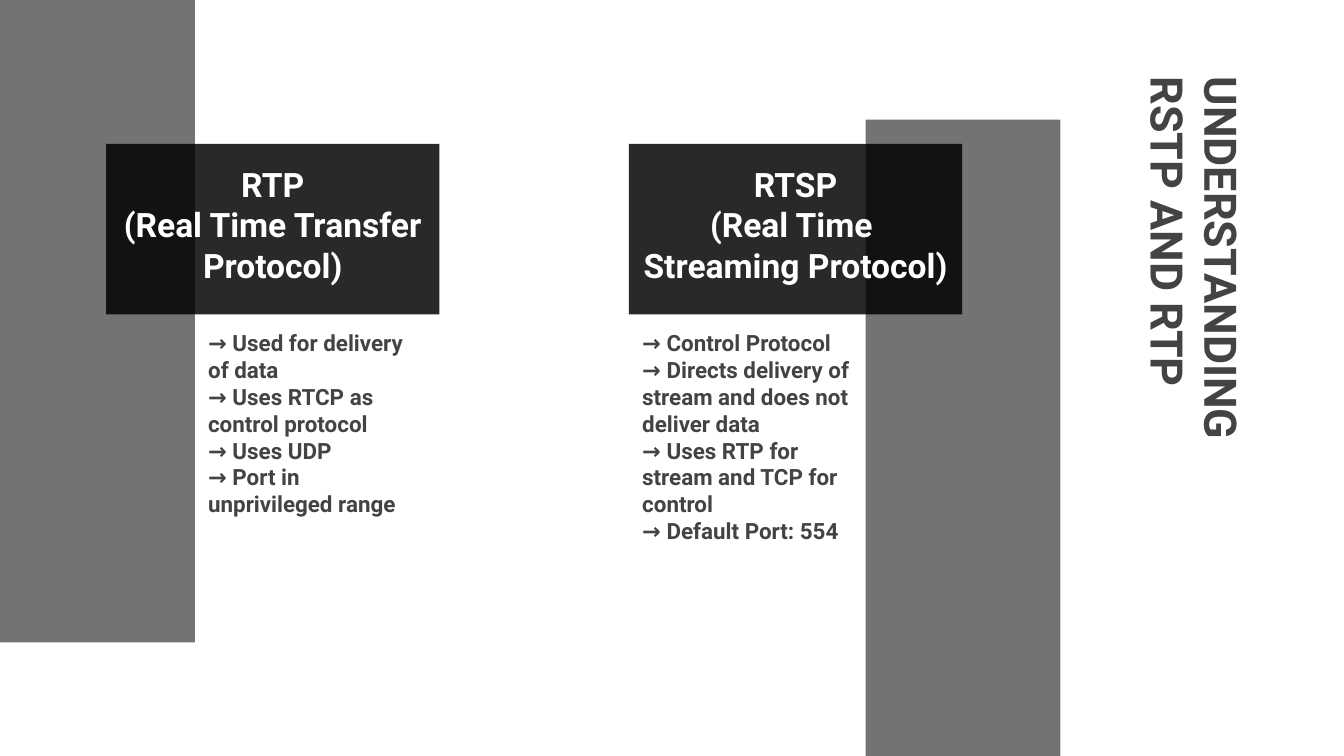
import pptx
import pptx.dml.color
import pptx.enum.shapes
import pptx.enum.text
import pptx.oxml
import pptx.oxml.ns
import pptx.util

Inches = pptx.util.Inches
ALIGN = pptx.enum.text.PP_ALIGN
ANCHOR = pptx.enum.text.MSO_ANCHOR

BLACK = pptx.dml.color.RGBColor(0x00, 0x00, 0x00)
WHITE = pptx.dml.color.RGBColor(0xFF, 0xFF, 0xFF)
GRAY = pptx.dml.color.RGBColor(0x43, 0x43, 0x43)

FONT = "Roboto"
TITLE_ONLY = 5


def write(frame, text, size=12, color=GRAY, align=ALIGN.LEFT, anchor=ANCHOR.TOP):
    """Fill a text frame, one paragraph per line of text."""
    frame.word_wrap = True
    frame.auto_size = pptx.enum.text.MSO_AUTO_SIZE.NONE
    frame.vertical_anchor = anchor
    frame.margin_left = frame.margin_right = Inches(0.1)
    frame.margin_top = frame.margin_bottom = Inches(0.1)
    for index, line in enumerate(text.split("\n")):
        para = frame.add_paragraph() if index else frame.paragraphs[0]
        para.alignment = align
        span = para.add_run()
        span.text = line
        span.font.name = FONT
        span.font.size = pptx.util.Pt(size)
        span.font.bold = True
        span.font.color.rgb = color


class Painter:
    def __init__(self, page):
        self.page = page

    def title(self, text, left, top, width, height):
        box = self.page.shapes.title
        box.left, box.top = Inches(left), Inches(top)
        box.width, box.height = Inches(width), Inches(height)
        box.rotation = 90
        write(box.text_frame, text, size=24, anchor=ANCHOR.MIDDLE)

    def panel(self, left, top, width, height, opacity):
        """Draw a black rectangle with the given opacity in percent."""
        box = self.page.shapes.add_shape(
            pptx.enum.shapes.MSO_SHAPE.RECTANGLE,
            Inches(left), Inches(top), Inches(width), Inches(height))
        box.shadow.inherit = False
        box.line.fill.background()
        box.fill.solid()
        box.fill.fore_color.rgb = BLACK
        color = box.fill._xPr.find(".//" + pptx.oxml.ns.qn("a:srgbClr"))
        alpha = pptx.oxml.parse_xml(
            f'<a:alpha {pptx.oxml.ns.nsdecls("a")} val="{opacity * 1000}"/>')
        color.append(alpha)

    def text(self, text, left, top, width, height, **style):
        box = self.page.shapes.add_textbox(
            Inches(left), Inches(top), Inches(width), Inches(height))
        write(box.text_frame, text, **style)


# Each protocol: header left, bar left and top, points left and height,
# heading, points
PROTOCOLS = [
    (4.68, 6.44, 0.89, 4.68, 1.77,
     "RTSP\n(Real Time \nStreaming Protocol)",
     "→ Control Protocol\n"
     "→ Directs delivery of stream and does not deliver data\n"
     "→ Uses RTP for stream and TCP for control\n"
     "→ Default Port: 554"),
    (0.79, 0, 0, 1.45, 1.54,
     "RTP\n(Real Time Transfer Protocol)",
     "→ Used for delivery of data\n"
     "→ Uses RTCP as control protocol\n"
     "→ Uses UDP\n"
     "→ Port in unprivileged range"),
]


def main():
    deck = pptx.Presentation()
    deck.slide_width = Inches(10)
    deck.slide_height = deck.slide_width * 9 // 16
    page = deck.slides.add_slide(deck.slide_layouts[TITLE_ONLY])
    painter = Painter(page)

    # Vertical title
    painter.title("UNDERSTANDING RSTP AND RTP", 7.33, 1.77, 3.13, 0.53)

    # Bar, header and points of each protocol
    for (header_left, bar_left, bar_top, points_left, points_height,
         heading, points) in PROTOCOLS:
        painter.panel(bar_left, bar_top, 1.45, 4.78, opacity=55)
        painter.panel(header_left, 1.07, 2.48, 1.27, opacity=84)
        painter.text(heading, header_left - 0.19, 1.19, 2.86, 1.03, size=18,
                     color=WHITE, align=ALIGN.CENTER, anchor=ANCHOR.BOTTOM)
        painter.text(points, points_left, 2.35, 1.78, points_height)

    deck.save("out.pptx")


if __name__ == "__main__":
    main()
